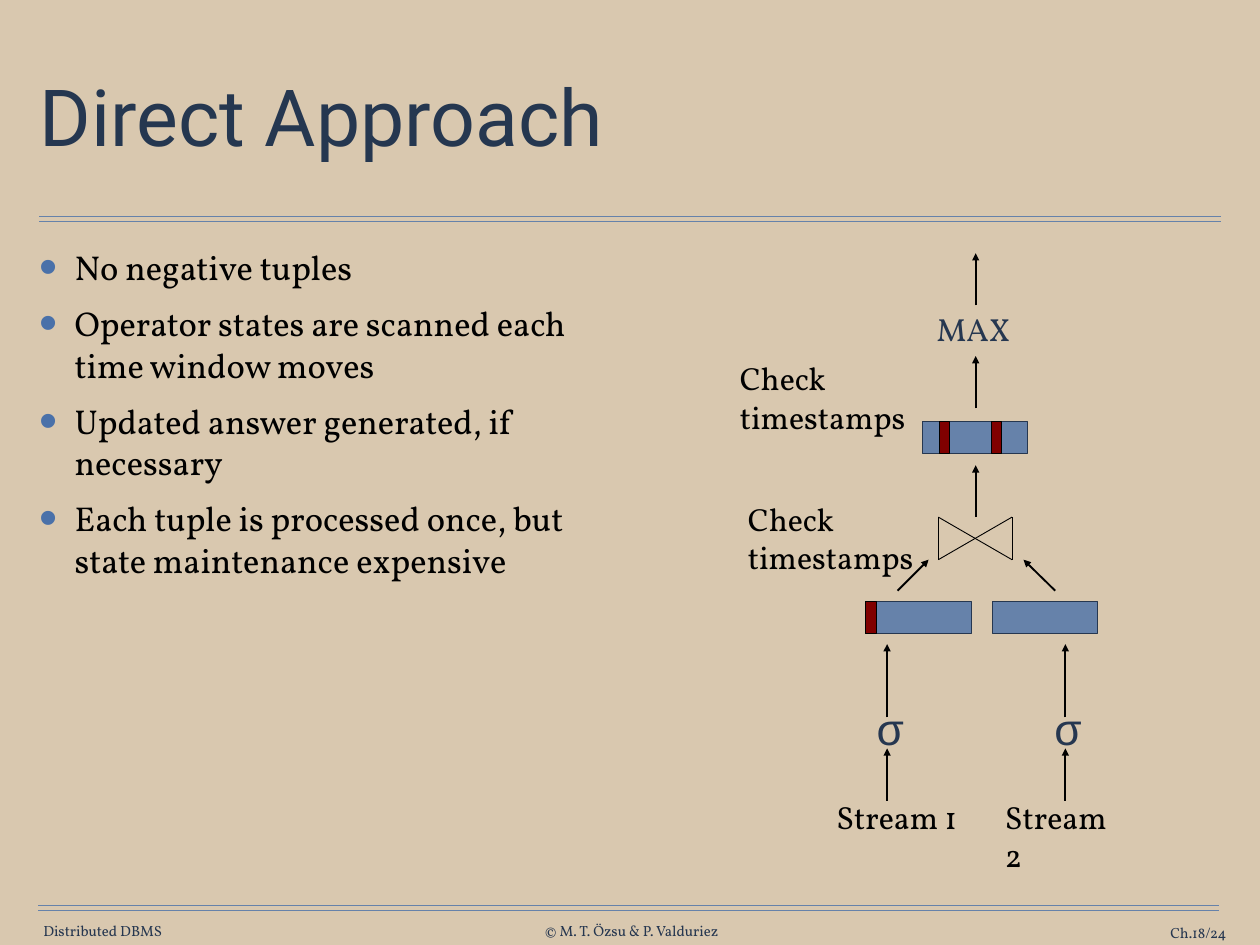
"""Build the Direct Approach slide: bullets beside a stream query plan."""
from lxml.etree import SubElement
from pptx import Presentation
from pptx.dml.color import RGBColor
from pptx.enum.shapes import MSO_CONNECTOR as Connector, MSO_SHAPE as Shape
from pptx.enum.text import MSO_ANCHOR as Anchor, MSO_AUTO_SIZE as AutoSize, PP_ALIGN as Align
from pptx.oxml.ns import qn
from pptx.util import Cm, Pt

SAND, NAVY, STEEL, RED, BLACK = "D9C8AF", "263750", "6682AA", "800000", "000000"
SERIF = "Vollkorn"

TITLE = "Direct Approach"
BULLETS = [
    "No negative tuples",
    "Operator states are scanned each time window moves",
    "Updated answer generated, if necessary",
    "Each tuple is processed once, but state maintenance expensive",
]
FOOTERS = [
    ("Distributed DBMS", (1.19, 26.44, 3.51, 0.51), Align.CENTER),
    ("© M. T. Özsu & P. Valduriez", (15.47, 26.44, 5.28, 0.51), Align.CENTER),
    ("Ch.18/24", (31.27, 26.49, 3.89, 0.51), Align.RIGHT),
]
LABELS = [
    ("σ", (24.77, 19.94, 1.52, 1.9), 36, "Arial", NAVY),
    ("σ", (29.87, 19.94, 1.52, 1.9), 36, "Arial", NAVY),
    ("Stream 1", (23.62, 22.68, 4.29, 1.47), 26, SERIF, BLACK),
    ("Stream 2", (28.45, 22.68, 3.7, 2.59), 26, SERIF, BLACK),
    ("MAX", (26.49, 8.71, 2.95, 1.47), 26, SERIF, NAVY),
    ("Check\ntimestamps", (21.08, 14.15, 5.7, 2.59), 26, SERIF, BLACK),
    ("Check\ntimestamps", (20.85, 10.11, 5.7, 2.59), 26, SERIF, BLACK),
]
RULES = [(1.12, 35, 6.2), (1.09, 34.95, 25.96)]
RULE_GAP = 0.15
QUEUES = [(24.82, 17.25), (28.45, 17.25), (26.44, 12.09)]
EXPIRED = [(24.82, 17.25), (28.42, 12.09), (26.92, 12.09)]
QUEUE_WIDTH, EXPIRED_WIDTH, QUEUE_HEIGHT = 3.02, 0.3, 0.91
STREAM_CENTERS, STREAM_RISES = (25.43, 30.54), ((22.96, 21.46), (20.57, 18.47))
PLAN_CENTER, PLAN_RISES = 27.97, ((14.83, 13.34), (11.71, 10.21), (8.76, 7.26))
JOIN_ARROWS = [(25.73, 16.94, 26.62, 16.05), (30.25, 16.94, 29.34, 16.05)]
JOIN_LEFT, JOIN_TOP, JOIN_RIGHT, JOIN_BOTTOM = 26.9, 14.83, 29.01, 16.05


def color(value):
    return RGBColor.from_string(value)


def style(paragraph, size, font, ink):
    for run in paragraph.runs:
        run.font.size, run.font.name = Pt(size), font
        run.font.color.rgb = color(ink)


def place(shape, box):
    shape.left, shape.top, shape.width, shape.height = map(Cm, box)


def set_frame(frame, horizontal, vertical, anchor, wrap=True):
    frame.margin_left = frame.margin_right = Cm(horizontal)
    frame.margin_top = frame.margin_bottom = Cm(vertical)
    frame.vertical_anchor, frame.word_wrap = anchor, wrap
    frame.auto_size = AutoSize.NONE


def add_text(slide, text, box, size, font, ink, align=Align.LEFT,
             margins=(0.36, 0.18), anchor=Anchor.TOP, wrap=True):
    frame = slide.shapes.add_textbox(*map(Cm, box)).text_frame
    set_frame(frame, *margins, anchor, wrap)
    frame.text = text
    for paragraph in frame.paragraphs:
        paragraph.alignment = align
        style(paragraph, size, font, ink)


def add_line(slide, ends, ink, width, arrow=False):
    line = slide.shapes.add_connector(Connector.STRAIGHT, *map(Cm, ends))
    line.line.color.rgb, line.line.width = color(ink), Pt(width)
    if arrow:
        SubElement(line.line._get_or_add_ln(), qn("a:tailEnd"), type="triangle")
    SubElement(line._element.spPr, qn("a:effectLst"))


def add_block(slide, corner, width, fill, outline):
    block = slide.shapes.add_shape(Shape.RECTANGLE, *map(Cm, (*corner, width, QUEUE_HEIGHT)))
    block.shadow.inherit = False
    block.fill.solid()
    block.fill.fore_color.rgb = color(fill)
    block.line.color.rgb, block.line.width = color(outline), Pt(0.75)


def add_bullet(paragraph):
    properties = paragraph._p.get_or_add_pPr()
    properties.set("marL", str(Cm(1.02)))
    properties.set("indent", str(-Cm(1.02)))
    bullet_color = SubElement(properties, qn("a:buClr"))
    SubElement(bullet_color, qn("a:srgbClr"), val="4A71A9")
    SubElement(properties, qn("a:buSzPct"), val="150000")
    SubElement(properties, qn("a:buFont"), typeface="Arial")
    SubElement(properties, qn("a:buChar"), char="•")


def fill_placeholders(slide):
    title, body = slide.shapes.title, slide.placeholders[1]
    place(title, (0.99, 1.24, 34.14, 4.47))
    set_frame(title.text_frame, 0.15, 0.15, Anchor.MIDDLE)
    title.text_frame.text = TITLE
    heading = title.text_frame.paragraphs[0]
    heading.alignment, heading.line_spacing = Align.LEFT, 0.9
    style(heading, 64, "Roboto", "253750")

    place(body, (0.97, 6.91, 16.87, 18.8))
    set_frame(body.text_frame, 0.15, 0.15, Anchor.TOP)
    body.text_frame.text = "\n".join(BULLETS)
    for paragraph in body.text_frame.paragraphs:
        paragraph.space_before = Pt(12)
        add_bullet(paragraph)
        style(paragraph, 28, SERIF, BLACK)


def draw_frame(slide):
    for left, right, top in RULES:
        for y in (top, top + RULE_GAP):
            add_line(slide, (left, y, right, y), STEEL, 1)
    for text, box, align in FOOTERS:
        add_text(slide, text, box, 12, SERIF, NAVY, align, (0, 0), Anchor.MIDDLE, False)


def draw_plan(slide):
    for x in (JOIN_LEFT, JOIN_RIGHT):
        add_line(slide, (x, JOIN_BOTTOM, x, JOIN_TOP), BLACK, 0.75)
    for start, end in ((JOIN_TOP, JOIN_BOTTOM), (JOIN_BOTTOM, JOIN_TOP)):
        add_line(slide, (JOIN_LEFT, start, JOIN_RIGHT, end), BLACK, 0.75)
    for label in LABELS:
        add_text(slide, *label)
    for corner in QUEUES:
        add_block(slide, corner, QUEUE_WIDTH, STEEL, NAVY)
    for corner in EXPIRED:
        add_block(slide, corner, EXPIRED_WIDTH, RED, BLACK)
    rises = [(x, start, x, end) for x in STREAM_CENTERS for start, end in STREAM_RISES]
    rises += [(PLAN_CENTER, start, PLAN_CENTER, end) for start, end in PLAN_RISES]
    for ends in rises + JOIN_ARROWS:
        add_line(slide, ends, BLACK, 1.5, arrow=True)


def main():
    presentation = Presentation()
    presentation.slide_width, presentation.slide_height = Cm(36.12), Cm(27.1)
    slide = presentation.slides.add_slide(presentation.slide_layouts[1])
    slide.background.fill.solid()
    slide.background.fill.fore_color.rgb = color(SAND)
    fill_placeholders(slide)
    draw_frame(slide)
    draw_plan(slide)
    presentation.save("out.pptx")


if __name__ == "__main__":
    main()
